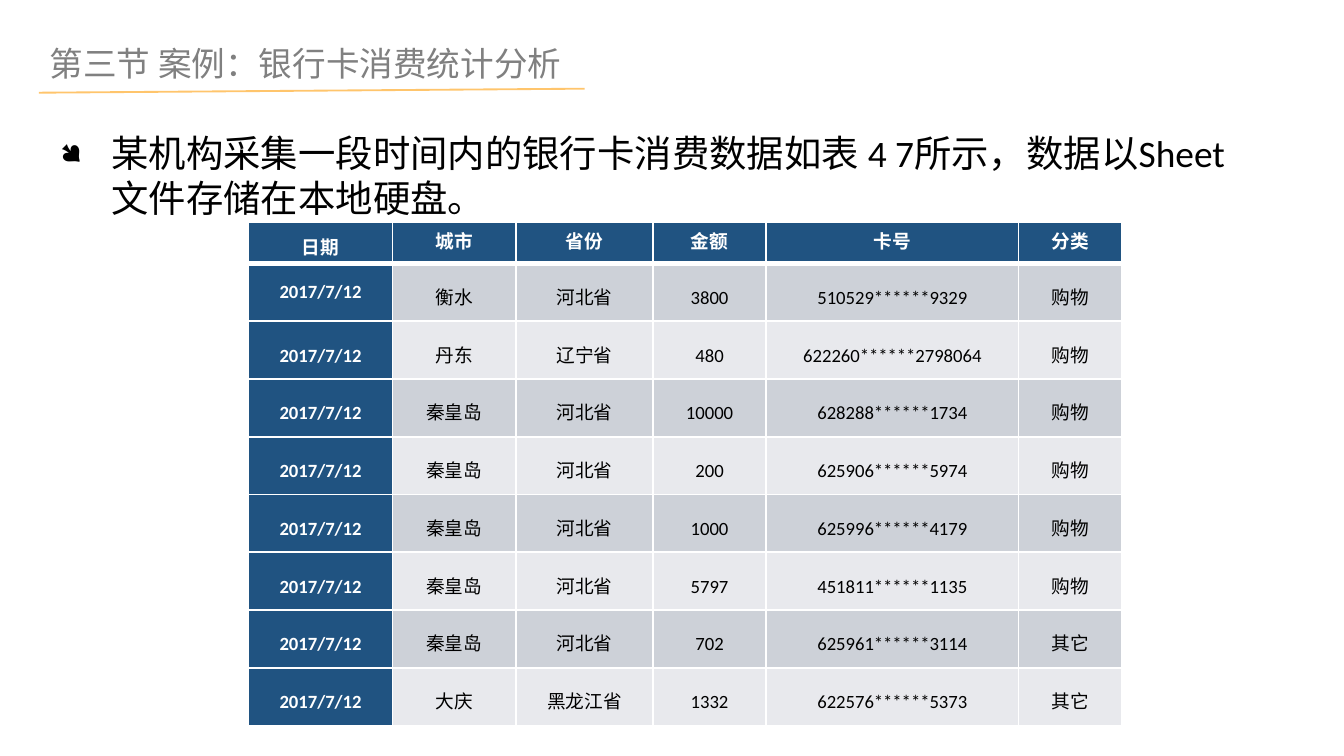
import pptx
import pptx.dml.color
import pptx.enum.lang
import pptx.enum.shapes
import pptx.enum.text
import pptx.oxml
import pptx.oxml.ns
import pptx.util
from pptx.util import Inches

RGBColor = pptx.dml.color.RGBColor
WHITE = RGBColor(0xFF, 0xFF, 0xFF)
BLACK = RGBColor(0, 0, 0)
GRAY = RGBColor(0x80, 0x80, 0x80)
ORANGE = RGBColor(0xFF, 0xC5, 0x6C)
NAVY = RGBColor(0x20, 0x53, 0x81)
BANDS = (RGBColor(0xCD, 0xD1, 0xD8), RGBColor(0xE8, 0xE9, 0xED))
CENTER = pptx.enum.text.PP_ALIGN.CENTER
MIDDLE = pptx.enum.text.MSO_ANCHOR.MIDDLE
CHINESE = pptx.enum.lang.MSO_LANGUAGE_ID.SIMPLIFIED_CHINESE

COLUMN_WIDTHS = (1.07, 0.92, 1.02, 0.84, 1.88, 0.77)
HEADER_HEIGHT, ROW_HEIGHT = 0.31, 0.43
DATE = "2017/7/12"
HEADERS = ("日期", "城市", "省份", "金额", "卡号", "分类")
RECORDS = (
    ("衡水", "河北省", "3800", "510529******9329", "购物"),
    ("丹东", "辽宁省", "480", "622260******2798064", "购物"),
    ("秦皇岛", "河北省", "10000", "628288******1734", "购物"),
    ("秦皇岛", "河北省", "200", "625906******5974", "购物"),
    ("秦皇岛", "河北省", "1000", "625996******4179", "购物"),
    ("秦皇岛", "河北省", "5797", "451811******1135", "购物"),
    ("秦皇岛", "河北省", "702", "625961******3114", "其它"),
    ("大庆", "黑龙江省", "1332", "622576******5373", "其它"),
)


def add_xml(parent, markup):
    namespaces = pptx.oxml.ns.nsdecls("a")
    parent.append(pptx.oxml.parse_xml(markup.replace(" ", f" {namespaces} ", 1)))


def write_text(paragraph, text, size=10, font="Calibri", color=BLACK,
               bold=False, align=None, line_spacing=None):
    run = paragraph.add_run()
    run.text = text
    run.font.size = pptx.util.Pt(size)
    run.font.name = font
    run.font.bold = bold
    run.font.color.rgb = color
    run.font.language_id = CHINESE
    add_xml(run.font._element, f'<a:ea typeface="{font}"/>')
    paragraph.alignment = align
    if line_spacing:
        paragraph.line_spacing = line_spacing


def add_title(slide, text):
    frame = slide.shapes.add_textbox(
        Inches(0.29), Inches(0.28), Inches(4.06), Inches(0.38)).text_frame
    frame.word_wrap = False
    frame.vertical_anchor = MIDDLE
    frame.margin_left = frame.margin_right = Inches(0.08)
    frame.margin_top = frame.margin_bottom = Inches(0.04)
    write_text(frame.paragraphs[0], text, size=18, font="Noto Sans CJK SC", color=GRAY)


def add_underline(slide):
    line = slide.shapes.add_connector(
        pptx.enum.shapes.MSO_CONNECTOR.STRAIGHT,
        Inches(0.29), Inches(0.69), Inches(4.35), Inches(0.66))
    line.line.color.rgb = ORANGE
    line.line.width = pptx.util.Pt(1)
    add_xml(line._element.spPr, "<a:effectLst />")


def add_bullet(slide, text):
    frame = slide.shapes.add_textbox(
        Inches(0.35), Inches(0.92), Inches(9.13), Inches(0.77)).text_frame
    frame.word_wrap = True
    paragraph = frame.paragraphs[0]
    write_text(paragraph, text, size=20)
    paragraph.space_before = pptx.util.Pt(6)
    properties = paragraph._p.get_or_add_pPr()
    properties.set("marL", str(Inches(0.38)))
    properties.set("indent", str(-Inches(0.38)))
    add_xml(properties, '<a:buSzPct val="75000"/>')
    add_xml(properties, '<a:buFont typeface="Wingdings" charset="2"/>')
    add_xml(properties, '<a:buChar char="●"/>')


def set_borders(cell, bottom):
    properties = cell._tc.get_or_add_tcPr()
    for side, points in (("L", 1), ("R", 1), ("T", 1), ("B", bottom)):
        add_xml(properties, f'<a:ln{side} w="{pptx.util.Pt(points)}"><a:solidFill>'
                            f'<a:srgbClr val="{WHITE}"/></a:solidFill></a:ln{side}>')


def fill_cell(cell, text, fill, bottom=1, **text_format):
    cell.margin_left = cell.margin_right = Inches(0.05)
    cell.margin_top = cell.margin_bottom = 0
    cell.vertical_anchor = MIDDLE
    set_borders(cell, bottom)
    cell.fill.solid()
    cell.fill.fore_color.rgb = fill
    write_text(cell.text_frame.paragraphs[0], text, align=CENTER, **text_format)


def add_records_table(slide):
    rows = [HEADERS] + [(DATE, *record) for record in RECORDS]
    height = HEADER_HEIGHT + ROW_HEIGHT * len(RECORDS)
    table = slide.shapes.add_table(
        len(rows), len(HEADERS), Inches(1.85), Inches(1.65),
        Inches(sum(COLUMN_WIDTHS)), Inches(height)).table
    for column, width in zip(table.columns, COLUMN_WIDTHS):
        column.width = Inches(width)
    for row_index, values in enumerate(rows):
        is_header = row_index == 0
        table.rows[row_index].height = Inches(HEADER_HEIGHT if is_header else ROW_HEIGHT)
        for column_index, value in enumerate(values):
            is_date = column_index == 0
            strong = is_header or is_date
            single = row_index == 1 if is_date else is_header
            fill_cell(table.cell(row_index, column_index), value,
                      NAVY if strong else BANDS[(row_index - 1) % 2],
                      bottom=3 if is_header else 1,
                      color=WHITE if strong else BLACK, bold=strong,
                      line_spacing=None if single else 1.5)


def main():
    """Build the bank card spending slide and save it."""
    presentation = pptx.Presentation()
    presentation.slide_width = Inches(10)
    presentation.slide_height = Inches(10 * 9 / 16)
    slide = presentation.slides.add_slide(presentation.slide_layouts[6])
    add_title(slide, "第三节 案例：银行卡消费统计分析")
    add_underline(slide)
    add_bullet(slide, "某机构采集一段时间内的银行卡消费数据如表 4 7所示，数据以Sheet文件存储在本地硬盘。")
    add_records_table(slide)
    presentation.save("out.pptx")


if __name__ == "__main__":
    main()
